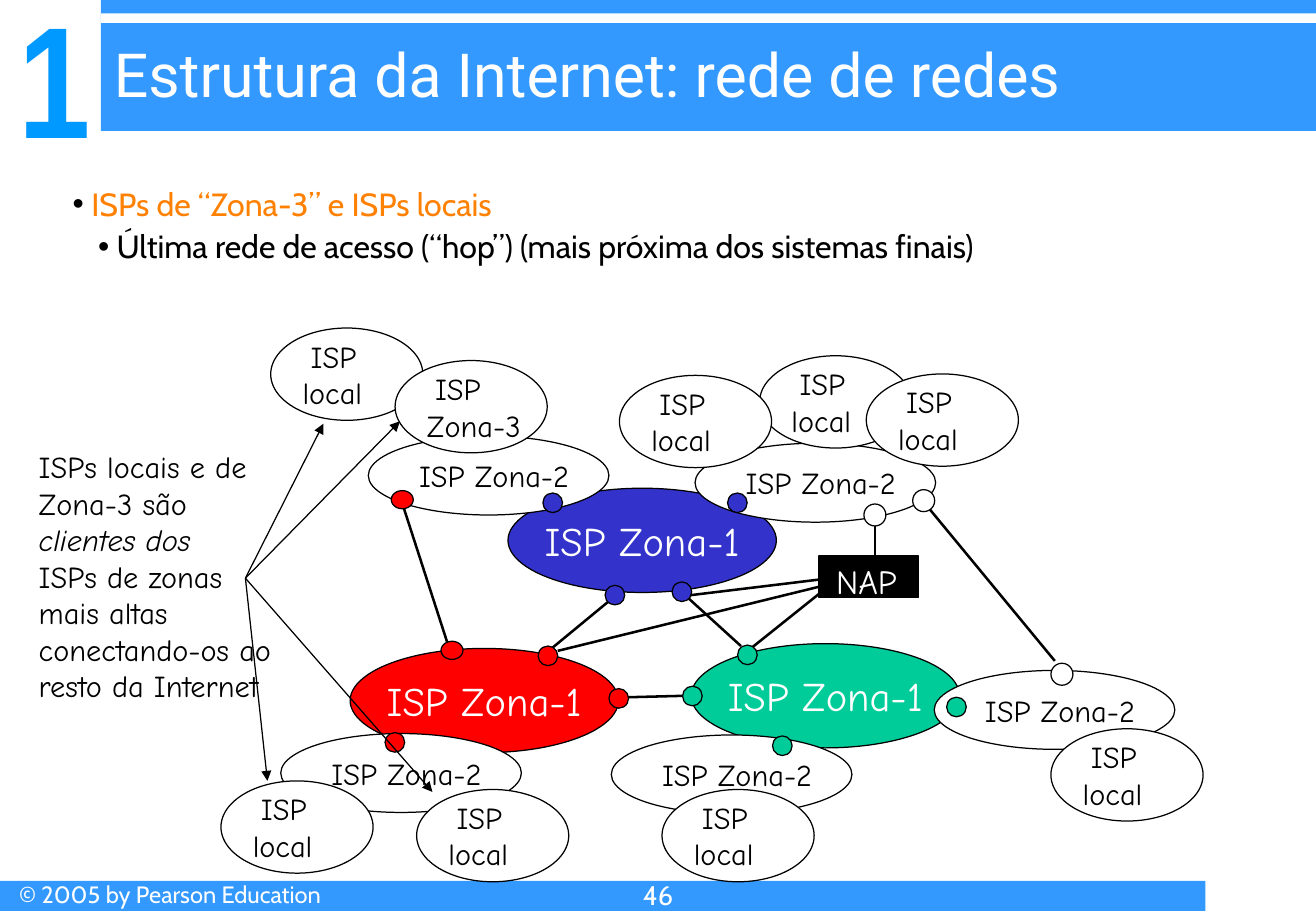
from dataclasses import dataclass

from lxml.etree import SubElement
from pptx import Presentation
from pptx.dml.color import RGBColor
from pptx.enum.shapes import MSO_CONNECTOR, MSO_SHAPE as Preset
from pptx.enum.text import MSO_ANCHOR as Anchor, PP_ALIGN as Align
from pptx.oxml.ns import qn
from pptx.util import Cm, Pt


@dataclass(frozen=True)
class Theme:
    band: str = "3399FF"
    chapter: str = "0099FF"
    accent: str = "FF8103"
    black: str = "000000"
    white: str = "FFFFFF"
    red: str = "FF0000"
    blue: str = "3333CC"
    green: str = "00CC99"
    title_font: str = "Roboto"
    text_font: str = "Cabin"
    diagram_font: str = "Comic Neue"
    chapter_font: str = "Arial Narrow"
    bullet_font: str = "Arial"
    chapter_size: int = 94
    title_size: int = 36
    zone1_size: int = 24
    nap_size: int = 20
    body_size: int = 19
    label_size: int = 18
    page_size: int = 16
    footer_size: int = 14
    thin: float = 0.75
    thick: float = 1.5


PADDING = (0.25, 0.13, 0.25, 0.13)


class SlideBuilder:
    def __init__(self, slide, theme):
        self.slide = slide
        self.theme = theme

    def fill_text(self, frame, text, size, color, font, align=Align.LEFT,
                  anchor=Anchor.TOP, padding=PADDING, wrap=True, bold=False):
        frame.text = text
        frame.word_wrap = wrap
        frame.vertical_anchor = anchor
        (frame.margin_left, frame.margin_top,
         frame.margin_right, frame.margin_bottom) = map(Cm, padding)
        for paragraph in frame.paragraphs:
            paragraph.alignment = align
            for run in paragraph.runs:
                run.font.size = Pt(size)
                run.font.name = font
                run.font.bold = bold
                run.font.color.rgb = RGBColor.from_string(color)
        return frame

    def title(self, text, box):
        """Fill the title placeholder and bring it in front of the header band."""
        heading = self.slide.shapes.title
        heading.left, heading.top, heading.width, heading.height = map(Cm, box)
        self.fill_text(heading.text_frame, text, self.theme.title_size,
                       self.theme.white, self.theme.title_font)
        self.slide.shapes._spTree.append(heading._element)

    def text(self, text, box, size, color, font, **style):
        frame = self.slide.shapes.add_textbox(*map(Cm, box)).text_frame
        return self.fill_text(frame, text, size, color, font, **style)

    def shape(self, preset, box, fill, outlined=True):
        shape = self.slide.shapes.add_shape(preset, *map(Cm, box))
        shape.shadow.inherit = False
        shape.fill.solid()
        shape.fill.fore_color.rgb = RGBColor.from_string(fill)
        if outlined:
            shape.line.color.rgb = RGBColor.from_string(self.theme.black)
            shape.line.width = Pt(self.theme.thin)
        else:
            shape.line.fill.background()
        return shape

    def band(self, box, fill):
        self.shape(Preset.RECTANGLE, box, fill, outlined=False)

    def node(self, left, top, fill, width=0.41, height=0.41):
        self.shape(Preset.OVAL, (left, top, width, height), fill)

    def zone1(self, left, top, fill):
        cloud = self.shape(Preset.OVAL, (left, top, 5.61, 2.18), fill)
        self.fill_text(cloud.text_frame, "ISP Zona-1", self.theme.zone1_size,
                       self.theme.white, self.theme.diagram_font, Align.CENTER,
                       Anchor.MIDDLE, wrap=False)

    def zone2(self, left, top):
        cloud = self.shape(Preset.OVAL, (left, top, 5.03, 1.65), self.theme.white)
        self.fill_text(cloud.text_frame, "ISP Zona-2", self.theme.label_size,
                       self.theme.black, self.theme.diagram_font, Align.CENTER,
                       Anchor.MIDDLE, padding=(0.23, 0, 0, 0))

    def customer(self, left, top, kind="local"):
        """Draw a local or zone-3 ISP, its first line slightly indented."""
        cloud = self.shape(Preset.OVAL, (left, top, 3.18, 1.93), self.theme.white)
        frame = self.fill_text(cloud.text_frame, f"ISP\n{kind}",
                               self.theme.label_size, self.theme.black,
                               self.theme.diagram_font, anchor=Anchor.MIDDLE,
                               padding=(0.2, 0, 0, 0))
        frame.paragraphs[0]._p.get_or_add_pPr().set("marL", str(Cm(0.17)))

    def line(self, start, end, weight, arrow=False):
        link = self.slide.shapes.add_connector(
            MSO_CONNECTOR.STRAIGHT, *map(Cm, (*start, *end)))
        link.line.color.rgb = RGBColor.from_string(self.theme.black)
        link.line.width = Pt(weight)
        if arrow:
            SubElement(link.line._get_or_add_ln(), qn("a:tailEnd"), type="triangle")
        SubElement(link._element.spPr, qn("a:effectLst"))

    def bullet(self, paragraph, margin, hanging):
        properties = paragraph._p.get_or_add_pPr()
        properties.set("marL", str(Cm(margin)))
        properties.set("indent", str(-Cm(hanging)))
        color = SubElement(properties, qn("a:buClr"))
        SubElement(color, qn("a:srgbClr"), val=self.theme.black)
        SubElement(properties, qn("a:buFont"), typeface=self.theme.bullet_font)
        SubElement(properties, qn("a:buChar"), char="•")
        paragraph.line_spacing = 0.9


def build_frame(page, theme):
    page.band((2.11, 0, 25.4, 2.74), theme.band)
    page.band((2.11, 0.28, 25.4, 0.2), theme.white)
    page.text("1", (0.08, 0, 2.11, 3.56), theme.chapter_size, theme.chapter,
              theme.chapter_font, align=Align.CENTER, anchor=Anchor.BOTTOM,
              padding=(0, 0, 0, 0), wrap=False, bold=True)
    page.band((0, 18.42, 25.2, 0.63), theme.band)
    page.text("© 2005 by Pearson Education", (0.15, 18.26, 8.46, 0.79),
              theme.footer_size, theme.white, theme.text_font)
    page.text("46", (0, 18.24, 27.51, 0.81), theme.page_size, theme.white,
              theme.text_font, align=Align.CENTER)
    page.title("Estrutura da Internet: rede de redes", (2.13, 0.64, 25.37, 1.7))


def build_topics(page, theme):
    topics = page.text(
        "ISPs de “Zona-3” e ISPs locais\n"
        "Última rede de acesso (“hop”) (mais próxima dos sistemas finais)",
        (1.27, 3.81, 25.4, 1.9), theme.body_size, theme.black, theme.text_font)
    heading, detail = topics.paragraphs
    heading.runs[0].font.color.rgb = RGBColor.from_string(theme.accent)
    page.bullet(heading, 0.39, 0.39)
    page.bullet(detail, 0.92, 0.39)
    detail.level = 1
    detail.space_before = Pt(4.8)


def build_network(page, theme):
    for left, top, fill in ((7.32, 13.56, theme.red), (10.62, 10.21, theme.blue),
                            (14.45, 13.46, theme.green)):
        page.zone1(left, top, fill)
    for corner in ((14.53, 9.27), (7.7, 9.12), (5.87, 15.34), (12.78, 15.37),
                   (19.53, 14.02)):
        page.zone2(*corner)

    nap = page.shape(Preset.RECTANGLE, (17.12, 11.63, 2.08, 0.86), theme.black)
    page.fill_text(nap.text_frame, "NAP", theme.nap_size, theme.white,
                   theme.diagram_font, padding=(0.36, 0.1, 0, 0))

    for start, end in (((13.13, 14.58), (14.3, 14.55)),
                       ((14.38, 12.5), (15.49, 13.51)),
                       ((11.53, 13.56), (12.73, 12.57)),
                       ((17.22, 12.34), (15.72, 13.54)),
                       ((17.12, 12.12), (14.4, 12.45)),
                       ((17.12, 12.27), (11.66, 13.61)),
                       ((8.43, 10.59), (9.4, 13.59)),
                       ((19.41, 10.62), (22.05, 13.82))):
        page.line(start, end, theme.thick)
    page.line((18.29, 10.97), (18.29, 11.63), theme.thin)

    nodes = {
        theme.green: ((15.42, 13.49), (14.27, 14.35), (16.15, 15.39), (19.79, 14.58)),
        theme.blue: ((14.05, 12.17), (12.65, 12.24), (15.21, 10.31), (11.35, 10.31)),
        theme.red: ((11.25, 13.51), (12.73, 14.4), (8.05, 15.32)),
    }
    for fill, corners in nodes.items():
        for corner in corners:
            page.node(*corner, fill)
    for corner in ((8.18, 10.26), (9.22, 13.41)):
        page.node(*corner, theme.red, 0.46, 0.38)
    for corner in ((19.08, 10.24), (21.97, 13.87), (18.06, 10.54)):
        page.node(*corner, theme.white, 0.46, 0.46)

    for corner in ((15.88, 7.44), (12.95, 7.85), (18.11, 7.82), (4.62, 16.33),
                   (5.66, 6.86), (8.71, 16.51), (13.84, 16.51), (21.97, 15.24)):
        page.customer(*corner)
    page.customer(8.26, 7.54, "Zona-3")


def build_remark(page, theme):
    remark = page.text(
        "ISPs locais e de Zona-3 são \nISPs de zonas mais altas\n"
        "conectando-os ao resto da Internet",
        (0.56, 9.25, 5.41, 5.59), theme.label_size, theme.black, theme.diagram_font)
    emphasis = remark.paragraphs[0].add_run()
    emphasis.text = "clientes dos"
    emphasis.font.size = Pt(theme.label_size)
    emphasis.font.name = theme.diagram_font
    emphasis.font.italic = True
    emphasis.font.color.rgb = RGBColor.from_string(theme.black)
    for target in ((6.76, 8.86), (8.36, 8.81), (5.59, 16.33), (9.04, 16.56)):
        page.line((5.13, 12.09), target, theme.thin, arrow=True)


def main():
    deck = Presentation()
    deck.slide_width, deck.slide_height = Cm(27.51), Cm(19.05)
    theme = Theme()
    page = SlideBuilder(deck.slides.add_slide(deck.slide_layouts[5]), theme)
    build_frame(page, theme)
    build_topics(page, theme)
    build_network(page, theme)
    build_remark(page, theme)
    deck.save("out.pptx")


if __name__ == "__main__":
    main()
